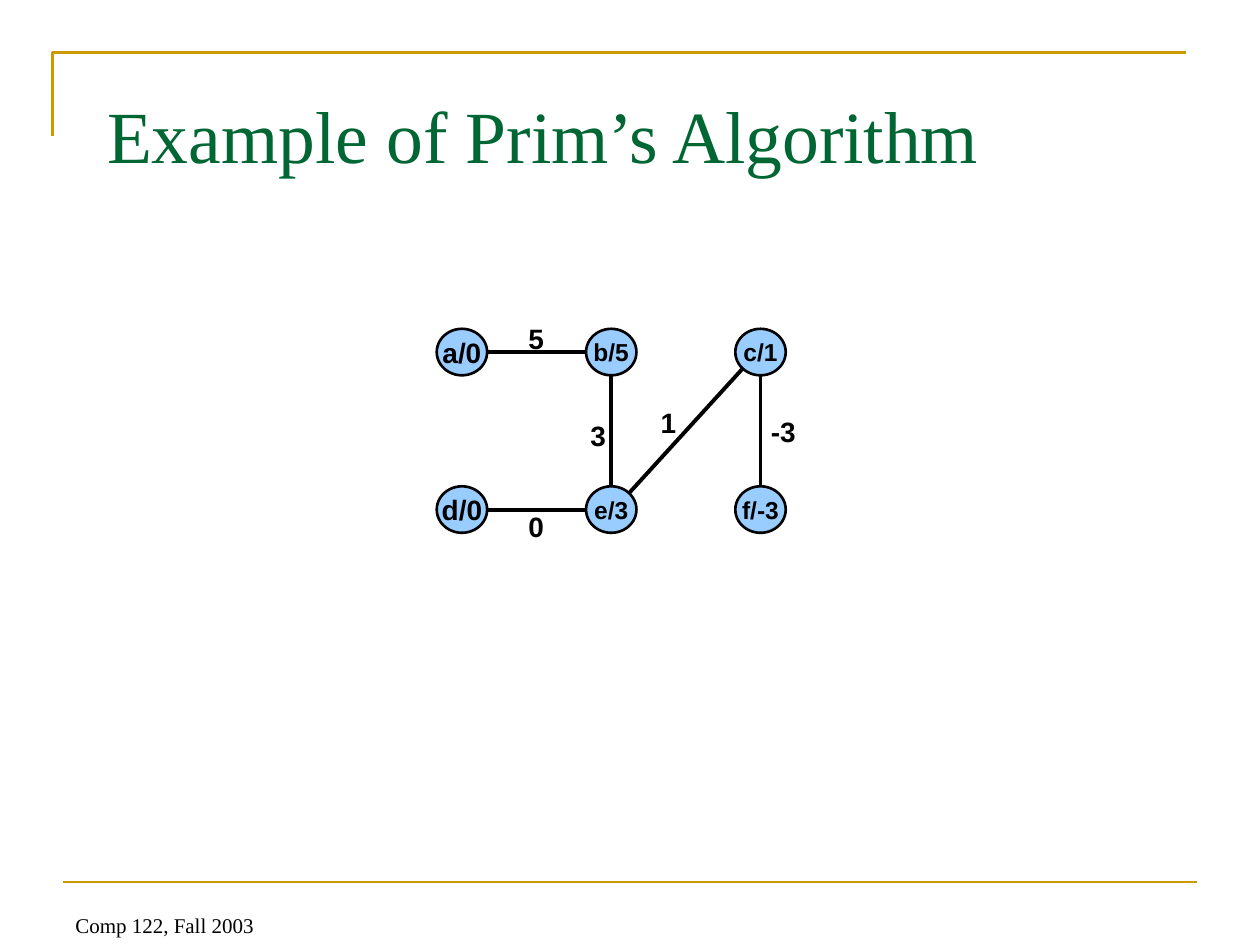
import math

import pptx
from pptx.dml.color import RGBColor
from pptx.enum.shapes import MSO_CONNECTOR, MSO_SHAPE
from pptx.enum.text import MSO_ANCHOR, MSO_AUTO_SIZE, PP_ALIGN
from pptx.oxml.ns import qn
from pptx.util import Pt

GOLD = RGBColor(0xCC, 0x99, 0x00)
GREEN = RGBColor(0x00, 0x66, 0x33)
BLACK = RGBColor(0x00, 0x00, 0x00)
LIGHT_BLUE = RGBColor(0x99, 0xCC, 0xFF)

TITLE = "Example of Prim’s Algorithm"
FOOTER = "Comp 122, Fall 2003"

# name: (key, column, row, font size)
NODES = {
    "b": ("5", 1, 0, 14),
    "c": ("1", 2, 0, 14),
    "a": ("0", 0, 0, 16),
    "d": ("0", 0, 1, 16),
    "e": ("3", 1, 1, 14),
    "f": ("-3", 2, 1, 14),
}
# start, end, weight, label left, label top, label width
EDGES = [
    ("c", "f", "-3", 433.4, 233.3, 29),
    ("b", "e", "3", 330.2, 235.4, 23.5),
    ("d", "e", "0", 294.9, 287.5, 23.5),
    ("e", "c", "1", 370.4, 228.2, 23.5),
    ("a", "b", "5", 294.9, 180, 23.5),
]
FIRST_X, FIRST_Y = 264, 201.2
COLUMN_STEP, ROW_STEP = 85.3, 90
NODE_WIDTH, NODE_HEIGHT = 28.8, 26.6
LABEL_HEIGHT = 26.6


def write_text(shape, text, *, size, font="Arial", color=BLACK, bold=False,
               align=PP_ALIGN.LEFT, anchor=MSO_ANCHOR.TOP, wrap=False,
               auto_size=MSO_AUTO_SIZE.NONE):
    frame = shape.text_frame
    frame.text = text
    frame.word_wrap = wrap
    frame.auto_size = auto_size
    frame.vertical_anchor = anchor
    frame.margin_left = frame.margin_right = Pt(7.2)
    frame.margin_top = frame.margin_bottom = Pt(3.6)
    paragraph = frame.paragraphs[0]
    paragraph.alignment = align
    run_font = paragraph.runs[0].font
    run_font.name = font
    run_font.size = Pt(size)
    run_font.bold = bold
    run_font.color.rgb = color


def add_line(slide, start, end, color, width):
    line = slide.shapes.add_connector(
        MSO_CONNECTOR.STRAIGHT, *(Pt(value) for value in (*start, *end)))
    line.line.color.rgb = color
    line.line.width = Pt(width)
    line._element.spPr.append(
        line._element.spPr.makeelement(qn("a:effectLst"), {}))


def add_frame(slide):
    """Draw the gold corner above the title and the rule above the footer."""
    builder = slide.shapes.build_freeform(Pt(30), Pt(78))
    builder.add_line_segments(
        [(Pt(30), Pt(30)), (Pt(678), Pt(30))], close=False)
    corner = builder.convert_to_shape()
    corner.shadow.inherit = False
    corner.fill.background()
    corner.line.color.rgb = GOLD
    corner.line.width = Pt(1.5)
    add_line(slide, (36, 504), (684, 504), GOLD, 1.5)


def center(name):
    _, column, row, _ = NODES[name]
    return FIRST_X + column * COLUMN_STEP, FIRST_Y + row * ROW_STEP


def rim_point(name, other):
    """Return the point of a node's outline, in steps of 45°, facing another."""
    (x, y), (other_x, other_y) = center(name), center(other)
    step = math.pi / 4
    angle = round(math.atan2(other_y - y, other_x - x) / step) * step
    return (x + NODE_WIDTH / 2 * math.cos(angle),
            y + NODE_HEIGHT / 2 * math.sin(angle))


def add_node(slide, name):
    key, _, _, size = NODES[name]
    x, y = center(name)
    node = slide.shapes.add_shape(
        MSO_SHAPE.OVAL, Pt(x - NODE_WIDTH / 2), Pt(y - NODE_HEIGHT / 2),
        Pt(NODE_WIDTH), Pt(NODE_HEIGHT))
    node.shadow.inherit = False
    node.fill.solid()
    node.fill.fore_color.rgb = LIGHT_BLUE
    node.line.color.rgb = BLACK
    node.line.width = Pt(1.5)
    write_text(node, f"{name}/{key}", size=size, bold=True,
               align=PP_ALIGN.CENTER, anchor=MSO_ANCHOR.MIDDLE)


def main():
    presentation = pptx.Presentation()
    presentation.slide_width, presentation.slide_height = Pt(720), Pt(540)
    slide = presentation.slides.add_slide(presentation.slide_layouts[5])

    add_frame(slide)
    title = slide.shapes.title
    title.left, title.top = Pt(54), Pt(48)
    title.width, title.height = Pt(612), Pt(66)
    write_text(title, TITLE, size=42, font="Times New Roman", color=GREEN,
               wrap=True)
    footer = slide.shapes.add_textbox(Pt(36), Pt(503.3), Pt(168), Pt(36))
    write_text(footer, FOOTER, size=12, font="Times New Roman",
               anchor=MSO_ANCHOR.BOTTOM, wrap=True)

    for name in NODES:
        add_node(slide, name)
    for start, end, weight, left, top, width in EDGES:
        add_line(slide, rim_point(start, end), rim_point(end, start),
                 BLACK, 2.25)
        label = slide.shapes.add_textbox(
            Pt(left), Pt(top), Pt(width), Pt(LABEL_HEIGHT))
        write_text(label, weight, size=16, bold=True,
                   auto_size=MSO_AUTO_SIZE.SHAPE_TO_FIT_TEXT)

    presentation.save("out.pptx")


if __name__ == "__main__":
    main()
